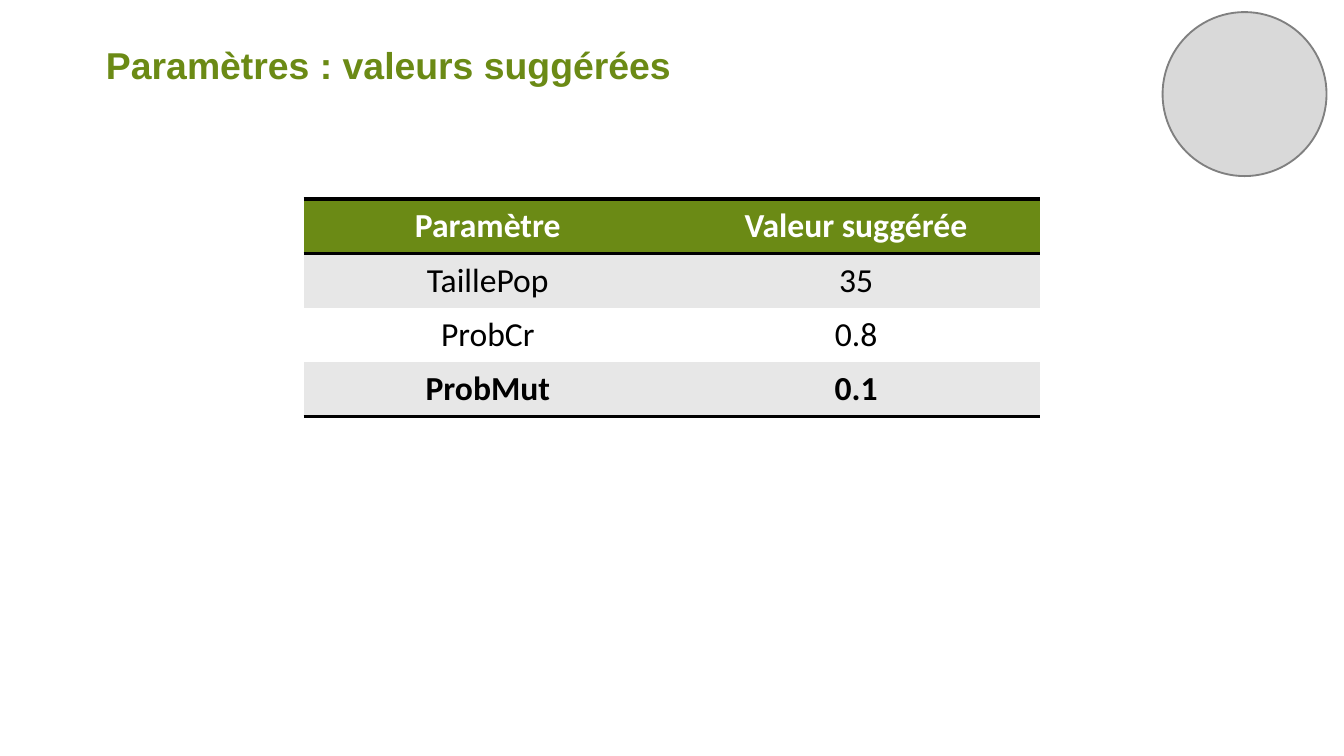
from dataclasses import dataclass

from lxml import etree
from pptx import Presentation
from pptx.dml.color import RGBColor
from pptx.enum import shapes, text
from pptx.oxml import ns
from pptx.util import Inches, Pt


@dataclass(frozen=True)
class Theme:
    green: str = "6B8A15"
    white: str = "FFFFFF"
    black: str = "000000"
    band: str = "E7E7E7"
    disc: str = "D9D9D9"
    disc_line: str = "808080"
    title_font: str = "Arial"
    table_font: str = "Calibri"
    title_size: int = 20
    table_size: int = 18
    plain_table: str = "{2D5ABB26-0587-4C30-8999-92F81FD0307C}"


THEME = Theme()
ROWS = [
    ("Paramètre", "Valeur suggérée"),
    ("TaillePop", "35"),
    ("ProbCr", "0.8"),
    ("ProbMut", "0.1"),
]


def set_font(paragraph, name, size, color, bold):
    font = paragraph.font
    font.name, font.size, font.bold = name, Pt(size), bold
    font.color.rgb = RGBColor.from_string(color)


def set_fill(item, color):
    item.fill.solid()
    item.fill.fore_color.rgb = RGBColor.from_string(color)


def set_borders(cell, tags):
    properties = cell._tc.get_or_add_tcPr()
    for position, tag in enumerate(tags):
        line = etree.Element(ns.qn(tag), w=str(Pt(2)))
        fill = etree.SubElement(line, ns.qn("a:solidFill"))
        etree.SubElement(fill, ns.qn("a:srgbClr"), val=THEME.black)
        properties.insert(position, line)


def add_title(slide, wording):
    box = slide.shapes.add_textbox(Inches(0.69), Inches(0.3), Inches(8.62), Inches(0.58))
    box.text_frame.word_wrap = True
    paragraph = box.text_frame.paragraphs[0]
    paragraph.text = wording
    paragraph.line_spacing = 0.9
    set_font(paragraph, THEME.title_font, THEME.title_size, THEME.green, True)


def fill_cell(cell, wording, row, last):
    header = row == 0
    cell.text = wording
    cell.vertical_anchor = text.MSO_ANCHOR.TOP
    paragraph = cell.text_frame.paragraphs[0]
    paragraph.alignment = text.PP_ALIGN.CENTER
    color = THEME.white if header else THEME.black
    set_font(paragraph, THEME.table_font, THEME.table_size, color, row in (0, last))
    band = THEME.band if row % 2 else THEME.white
    set_fill(cell, THEME.green if header else band)
    if header:
        set_borders(cell, ["a:lnT", "a:lnB"])
    elif row == last:
        set_borders(cell, ["a:lnB"])


def add_parameter_table(slide, rows):
    frame = slide.shapes.add_table(
        len(rows), len(rows[0]), Inches(2.26), Inches(1.48), Inches(5.48), Inches(1.62)
    )
    table = frame.table
    table.horz_banding = False
    table._tbl.find(".//" + ns.qn("a:tableStyleId")).text = THEME.plain_table
    for row, values in enumerate(rows):
        for column, wording in enumerate(values):
            fill_cell(table.cell(row, column), wording, row, len(rows) - 1)


def add_disc(slide):
    disc = slide.shapes.add_shape(
        shapes.MSO_SHAPE.OVAL, Inches(8.65), Inches(0.09), Inches(1.22), Inches(1.22)
    )
    disc.shadow.inherit = False
    set_fill(disc, THEME.disc)
    disc.line.color.rgb = RGBColor.from_string(THEME.disc_line)
    disc.line.width = Pt(1)


def main():
    presentation = Presentation()
    presentation.slide_width = Inches(10)
    presentation.slide_height = presentation.slide_width * 9 // 16
    slide = presentation.slides.add_slide(presentation.slide_layouts[6])
    add_title(slide, "Paramètres : valeurs suggérées")
    add_parameter_table(slide, ROWS)
    add_disc(slide)
    presentation.save("out.pptx")


if __name__ == "__main__":
    main()
